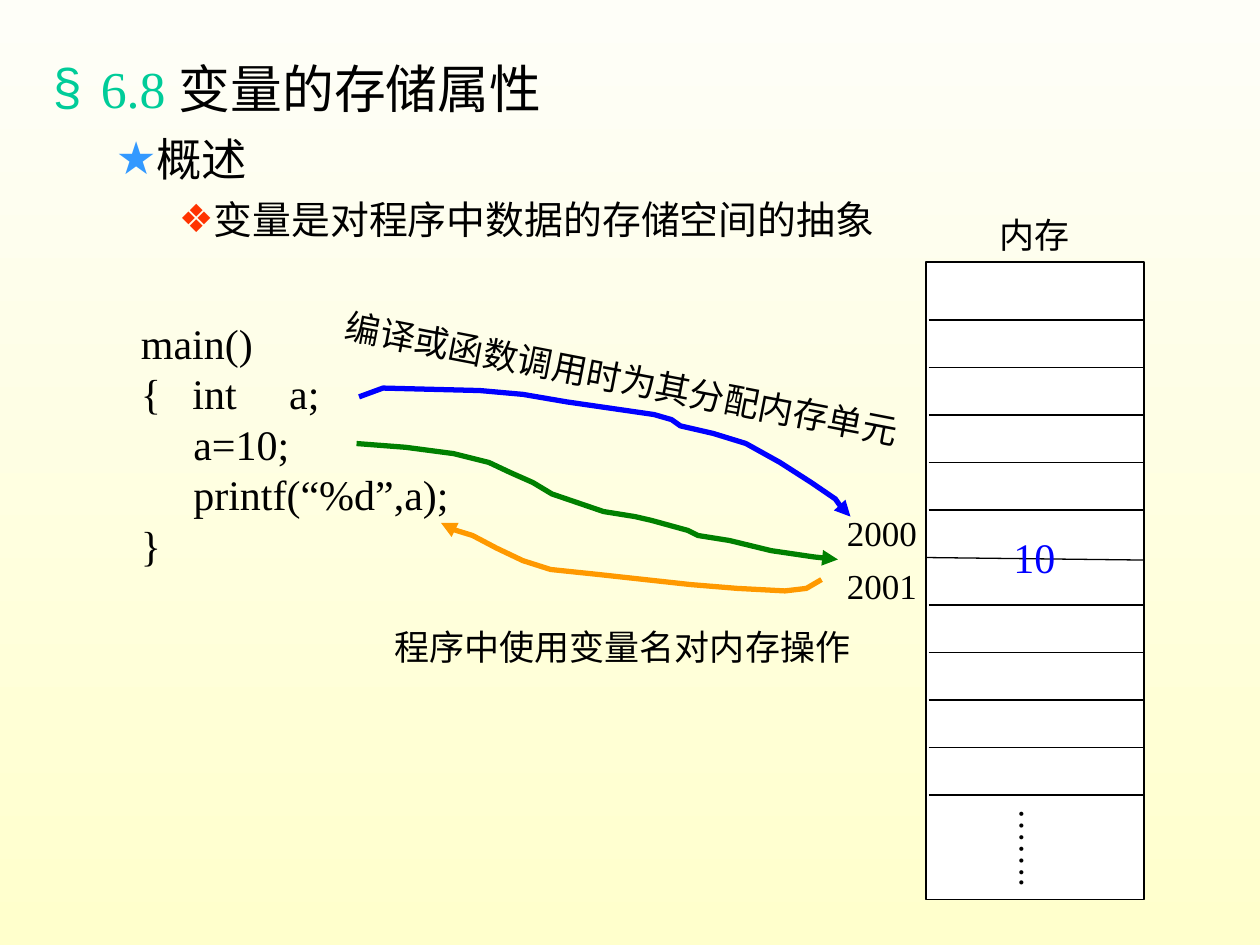
from lxml.etree import SubElement
from pptx import Presentation
from pptx.dml.color import RGBColor
from pptx.enum.shapes import MSO_CONNECTOR, MSO_SHAPE
from pptx.enum.text import MSO_ANCHOR, MSO_AUTO_SIZE, PP_ALIGN
from pptx.oxml.ns import qn
from pptx.util import Inches, Pt

FONT = "Times New Roman"
BLACK = RGBColor(0x00, 0x00, 0x00)
WHITE = RGBColor(0xFF, 0xFF, 0xFF)
CREAM = RGBColor(0xFE, 0xFE, 0xF8)
YELLOW = RGBColor(0xFF, 0xFF, 0xCC)
TEAL = RGBColor(0x00, 0xCC, 0x99)
SKY = RGBColor(0x33, 0x99, 0xFF)
RED = RGBColor(0xFF, 0x33, 0x00)
BLUE = RGBColor(0x00, 0x00, 0xFF)
GREEN = RGBColor(0x00, 0x80, 0x00)
ORANGE = RGBColor(0xFF, 0x99, 0x00)

TOPICS = [
    ([("6.8 ", TEAL), ("变量的存储属性", BLACK)], 29.6, 8, 0.38, 0.38, "§", TEAL),
    ([("概述", BLACK)], 25.9, 7, 0.81, 0.31, "★", SKY),
    ([("变量是对程序中数据的存储空间的抽象", BLACK)], 22.2, 6, 1.25, 0.25, "❖", RED),
]
CODE = ["main()", "{   int     a;", "     a=10;", "     printf(“%d”,a);", "}"]
ALLOC = [(2.85, 3.15), (3.04, 3.08), (3.81, 3.1), (4.15, 3.13), (4.5, 3.19),
         (5.19, 3.29), (5.33, 3.33), (5.4, 3.38), (5.66, 3.44), (5.92, 3.52),
         (6.19, 3.67), (6.44, 3.83), (6.63, 3.96), (6.68, 4.03), (6.75, 4.1)]
STORE = [(2.83, 3.52), (3.22, 3.55), (3.6, 3.6), (3.88, 3.67), (4.05, 3.75),
         (4.23, 3.83), (4.38, 3.92), (4.79, 4.06), (5.04, 4.1), (5.17, 4.13),
         (5.46, 4.21), (5.54, 4.25), (5.79, 4.29), (6.12, 4.37), (6.46, 4.42),
         (6.65, 4.44)]
FETCH = [(6.52, 4.6), (6.4, 4.67), (6.23, 4.69), (5.85, 4.67), (5.48, 4.64),
         (4.75, 4.56), (4.37, 4.52), (4.15, 4.45), (3.94, 4.35), (3.75, 4.25),
         (3.62, 4.21), (3.5, 4.15)]


def style(font, size, color):
    """Give a font its face, size and colour."""
    font.name, font.size, font.color.rgb = FONT, Pt(size), color


def label(slide, box, text, size=20, color=BLACK, align=PP_ALIGN.CENTER,
          turn=0, vert=None, lead=None):
    """Place a text box, one paragraph for each line of text."""
    shape = slide.shapes.add_textbox(*map(Inches, box))
    shape.rotation = turn
    frame = shape.text_frame
    frame.word_wrap = False
    frame.vertical_anchor = MSO_ANCHOR.MIDDLE
    frame.text = text
    if vert:
        frame.margin_left = frame.margin_right = Inches(0.05)
        frame.margin_top = frame.margin_bottom = Inches(0.1)
        frame._txBody.bodyPr.set("vert", vert)
    for para in frame.paragraphs:
        para.alignment = align
        para.line_spacing = lead
        style(para.runs[0].font, size, color)


def mark(para, left, hang, sign, color):
    """Set the indent and bullet of a paragraph."""
    props = para._p.get_or_add_pPr()
    props.set("marL", str(Inches(left)))
    props.set("indent", str(-Inches(hang)))
    tint = SubElement(props, qn("a:buClr"))
    SubElement(tint, qn("a:srgbClr"), val=str(color))
    SubElement(props, qn("a:buChar"), char=sign)


def outline(slide, box):
    """Fill the body placeholder with the bulleted topics."""
    title, body = slide.shapes.title, slide.placeholders[1]
    title.element.getparent().remove(title.element)
    body.left, body.top, body.width, body.height = map(Inches, box)
    frame = body.text_frame
    frame.auto_size = MSO_AUTO_SIZE.NONE
    for level, (runs, size, gap, left, hang, sign, tint) in enumerate(TOPICS):
        para = frame.add_paragraph() if level else frame.paragraphs[0]
        para.level = level
        para.space_before = Pt(gap)
        for text, color in runs:
            run = para.add_run()
            run.text = text
            style(run.font, size, color)
        mark(para, left, hang, sign, tint)


def rule(slide, x1, y1, x2, y2):
    """Draw a thin black line."""
    line = slide.shapes.add_connector(
        MSO_CONNECTOR.STRAIGHT, *map(Inches, (x1, y1, x2, y2)))
    line.line.color.rgb = BLACK
    line.line.width = Pt(0.75)
    SubElement(line._element.spPr, qn("a:effectLst"))


def memory(slide, box):
    """Draw the memory column with its cells and labels."""
    left, top, width, height = box
    frame = slide.shapes.add_shape(MSO_SHAPE.RECTANGLE, *map(Inches, box))
    frame.shadow.inherit = False
    frame.fill.solid()
    frame.fill.fore_color.rgb = WHITE
    frame.line.color.rgb = BLACK
    frame.line.width = Pt(0.75)
    right = left + width
    for row in range(11):
        y = top + 0.46 + row * 0.377
        if row == 5:
            rule(slide, left, y, right, y + 0.02)
        else:
            rule(slide, left + 0.02, y, right, y)
    label(slide, (left + 0.36, top - 0.44, 1, 0.44), "内存")
    label(slide, (left + 0.59, top + 4.24, 0.53, 0.73), "…….", vert="eaVert")
    label(slide, (left + 0.46, top + 2.09, 0.8, 0.5), "10", size=24, color=BLUE)
    for row, text in enumerate(("2000", "2001")):
        label(slide, (left - 0.85, top + 1.93 + row * 0.42, 1, 0.44), text)


def arrow(slide, points, color):
    """Draw a thick curved arrow through the points."""
    start, *rest = [(Inches(x), Inches(y)) for x, y in points]
    curve = slide.shapes.build_freeform(*start)
    curve.add_line_segments(rest, close=False)
    shape = curve.convert_to_shape()
    shape.shadow.inherit = False
    shape.fill.background()
    shape.line.color.rgb = color
    shape.line.width = Pt(3)
    line = shape.line._get_or_add_ln()
    SubElement(line, qn("a:round"))
    SubElement(line, qn("a:tailEnd"), type="triangle")


def program(slide, box):
    """Place the code, its arrows and their captions."""
    left, top = box[:2]
    label(slide, box, "\n".join(CODE), size=24, align=PP_ALIGN.LEFT, lead=Pt(28.8))
    for points, color in ((ALLOC, BLUE), (STORE, GREEN), (FETCH, ORANGE)):
        arrow(slide, points, color)
    label(slide, (left + 1.49, top + 0.31, 4.85, 0.44),
          "编译或函数调用时为其分配内存单元", turn=10.9)
    label(slide, (left + 1.91, top + 2.44, 4.02, 0.44), "程序中使用变量名对内存操作")


def paint(slide):
    """Shade the background from cream down to yellow."""
    fill = slide.background.fill
    fill.gradient()
    fill.gradient_angle = 270
    for stop, color in zip(fill.gradient_stops, (CREAM, YELLOW)):
        stop.color.rgb = color


def main():
    """Build the slide and save it."""
    deck = Presentation()
    deck.slide_width, deck.slide_height = Inches(10), Inches(7.5)
    slide = deck.slides.add_slide(deck.slide_layouts[1])
    paint(slide)
    outline(slide, (0.32, 0.4, 9.25, 1.64))
    memory(slide, (7.35, 2.08, 1.73, 5.06))
    program(slide, (1.02, 2.47, 2.8, 2.1))
    deck.save("out.pptx")


if __name__ == "__main__":
    main()
